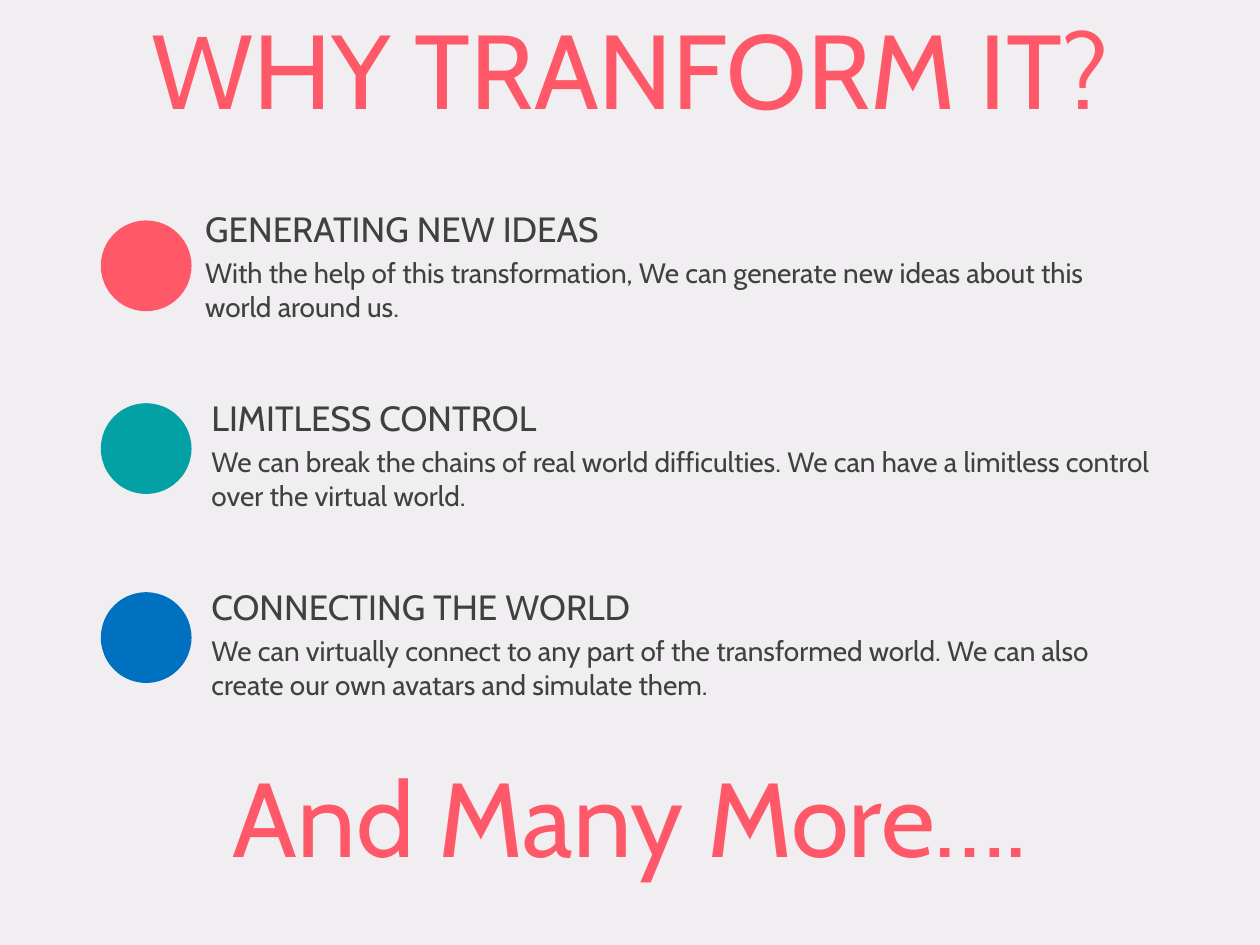
from pptx import Presentation
from pptx.dml.color import RGBColor
from pptx.enum.shapes import MSO_SHAPE
from pptx.enum.text import MSO_AUTO_SIZE, PP_ALIGN
from pptx.util import Inches, Pt

FONT = "Cabin"
BACKGROUND = RGBColor(0xF0, 0xEE, 0xF0)
CORAL = RGBColor(0xFF, 0x59, 0x69)
TEAL = RGBColor(0x03, 0xA1, 0xA4)
BLUE = RGBColor(0x00, 0x70, 0xC0)
GRAY = RGBColor(0x40, 0x40, 0x40)

# Banners: text, top
BANNERS = [("WHY TRANFORM IT?", -0.01), ("And Many More….", 5.92)]

# Reasons: colour, circle top, text left, heading top, heading, description
REASONS = [
    (CORAL, 1.75, 1.53, 1.6, "GENERATING NEW IDEAS",
     "With the help of this transformation, We can generate new ideas "
     "about this world around us."),
    (TEAL, 3.2, 1.58, 3.1, "LIMITLESS CONTROL",
     "We can break the chains of real world difficulties. We can have a "
     "limitless control over the virtual world."),
    (BLUE, 4.7, 1.58, 4.6, "CONNECTING THE WORLD",
     "We can virtually connect to any part of the transformed world. "
     "We can also create our own avatars and simulate them."),
]
CIRCLE_LEFT, CIRCLE_SIZE = 0.8, 0.72
HEADING_WIDTH, DESCRIPTION_WIDTH = 5.39, 7.68
DESCRIPTION_OFFSET = 0.38


def add_text(shapes, text, left, top, width, height, size, color,
             align=PP_ALIGN.LEFT):
    box = shapes.add_textbox(Inches(left), Inches(top),
                             Inches(width), Inches(height))
    tf = box.text_frame
    tf.word_wrap = True
    tf.auto_size = MSO_AUTO_SIZE.SHAPE_TO_FIT_TEXT
    p = tf.paragraphs[0]
    p.text = text
    p.alignment = align
    p.font.name = FONT
    p.font.size = Pt(size)
    p.font.color.rgb = color


def add_circle(shapes, top, color):
    sp = shapes.add_shape(MSO_SHAPE.OVAL, Inches(CIRCLE_LEFT), Inches(top),
                          Inches(CIRCLE_SIZE), Inches(CIRCLE_SIZE))
    sp.shadow.inherit = False
    sp.fill.solid()
    sp.fill.fore_color.rgb = color
    sp.line.fill.background()


prs = Presentation()
prs.slide_width, prs.slide_height = Inches(10), Inches(7.5)
slide = prs.slides.add_slide(prs.slide_layouts[6])
slide.background.fill.solid()
slide.background.fill.fore_color.rgb = BACKGROUND

# One group per reason: circle, heading, description
for color, circle_top, left, top, heading, description in REASONS:
    shapes = slide.shapes.add_group_shape().shapes
    add_circle(shapes, circle_top, color)
    add_text(shapes, heading, left, top, HEADING_WIDTH, 0.44, 20, GRAY)
    add_text(shapes, description, left, top + DESCRIPTION_OFFSET,
             DESCRIPTION_WIDTH, 0.64, 16, GRAY)

# Title and closing line
for text, top in BANNERS:
    add_text(slide.shapes, text, 0, top, 10, 1.11, 60, CORAL, PP_ALIGN.CENTER)

prs.save("out.pptx")
